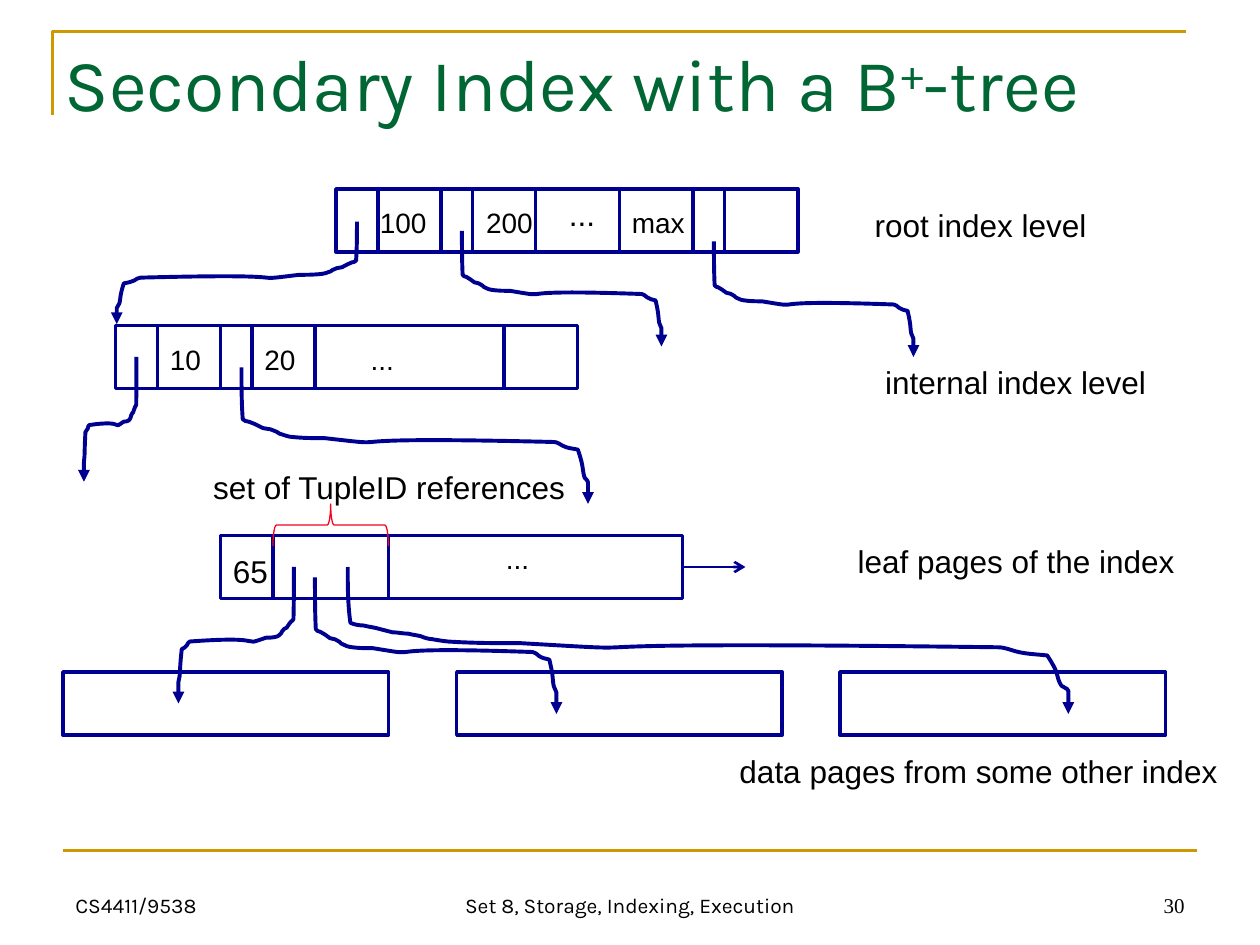
from dataclasses import dataclass

from lxml import etree
from pptx import Presentation
from pptx import util as u
from pptx.dml.color import RGBColor
from pptx.enum import shapes, text
from pptx.oxml.ns import qn

PX = 9525  # EMU per px, 96 px to the inch
GOLD = RGBColor(0xCC, 0x99, 0x00)
GREEN = RGBColor(0x00, 0x66, 0x33)
NAVY = RGBColor(0x00, 0x00, 0x90)
RED = RGBColor(0xF4, 0x04, 0x21)
BLACK = RGBColor(0, 0, 0)
LEFT, CENTER, RIGHT = text.PP_ALIGN.LEFT, text.PP_ALIGN.CENTER, text.PP_ALIGN.RIGHT
NODE_HEIGHT = 48

# Pointer curve: a start at (0, 0), then control points in groups of three
SQUIGGLE = [
    (0, 14), (0, 27), (1, 41), (2, 42), (4, 43), (6, 43),
    (8, 44), (9, 44), (11, 45), (13, 46), (15, 47), (17, 48),
    (19, 48), (21, 49), (23, 49), (25, 50), (26, 50), (28, 51),
    (29, 52), (31, 53), (32, 53), (35, 54), (38, 55), (40, 55),
    (49, 56), (58, 56), (66, 56), (137, 64), (44, 54), (247, 59),
    (250, 59), (252, 61), (254, 62), (258, 64), (261, 64), (266, 65),
    (267, 68), (268, 71), (269, 75), (270, 79), (270, 83), (271, 86),
    (271, 88), (274, 89), (274, 91), (274, 96), (274, 102), (274, 108),
]


@dataclass
class Node:
    left: int
    top: int
    width: int
    dividers: tuple[int, ...] = ()


@dataclass
class Pointer:
    x1: int
    y1: int
    x2: int
    y2: int


@dataclass
class Label:
    words: str
    left: int
    top: int
    width: int
    size: int = 18
    height: int = 38
    font: str = "Arial"
    color: RGBColor = BLACK
    align: text.PP_ALIGN = LEFT
    anchor: text.MSO_ANCHOR = text.MSO_ANCHOR.TOP
    wrap: bool = False


NODES = [
    Node(256, 144, 352, (288, 336, 360, 408, 472, 528, 552)),  # root
    Node(88, 248, 352, (120, 168, 192, 240, 384)),  # internal
    Node(168, 408, 352, (208, 296)),  # leaf
    Node(48, 512, 248), Node(348, 512, 248), Node(640, 512, 248),  # data pages
]

POINTERS = [
    Pointer(272, 169, 89, 247), Pointer(352, 176, 504, 264), Pointer(544, 184, 696, 272),
    Pointer(104, 272, 64, 367), Pointer(184, 280, 448, 384),
    Pointer(224, 432, 136, 536), Pointer(240, 440, 424, 544), Pointer(265, 432, 814, 544),
]

LABELS = [
    Label("100", 280, 152, 55, 16), Label("200", 361, 152, 55, 16),
    Label("...", 424, 144, 39), Label("max", 472, 152, 60, 16),
    Label("10", 120, 256, 43, 16), Label("20", 192, 256, 43, 16),
    Label("...", 273, 256, 37, 16),
    Label("65", 168, 416, 46), Label("...", 376, 408, 40, 16),
    Label("root index level", 657, 152, 181),
    Label("internal index level", 665, 272, 218),
    Label("set of TupleID references", 153, 352, 288),
    Label("leaf pages of the index", 644, 408, 261),
    Label("data pages from some other index", 554, 568, 384),
]


def footer(words: str, left: int, width: int, align: text.PP_ALIGN,
           font: str = "Karla") -> Label:
    return Label(words, left, 656, width, 12, 48, font, align=align,
                 anchor=text.MSO_ANCHOR.BOTTOM, wrap=True)


FOOTERS = [
    footer("CS4411/9538", 48, 224, LEFT),
    footer("Set 8, Storage, Indexing, Execution", 328, 304, CENTER),
    footer("30", 688, 224, RIGHT, "Times New Roman"),
]


def set_line(shape, color: RGBColor, points: float, tail: str = "") -> None:
    shape.line.color.rgb = color
    shape.line.width = u.Pt(points)
    if tail:
        etree.SubElement(shape.line._get_or_add_ln(), qn("a:tailEnd"), type=tail)


def set_outline(shape, color: RGBColor, points: float, tail: str = "") -> None:
    shape.shadow.inherit = False
    shape.fill.background()
    set_line(shape, color, points, tail)


def draw_line(slide, start: tuple[int, int], end: tuple[int, int],
              color: RGBColor, points: float, tail: str = "") -> None:
    line = slide.shapes.add_connector(
        shapes.MSO_CONNECTOR.STRAIGHT, *(v * PX for v in (*start, *end)))
    set_line(line, color, points, tail)
    etree.SubElement(line._element.spPr, qn("a:effectLst"))


def draw_node(slide, node: Node) -> None:
    box = slide.shapes.add_shape(
        shapes.MSO_SHAPE.RECTANGLE,
        *(v * PX for v in (node.left, node.top, node.width, NODE_HEIGHT)))
    set_outline(box, NAVY, 2)
    for x in node.dividers:
        draw_line(slide, (x, node.top), (x, node.top + NODE_HEIGHT), NAVY, 2.25)


def draw_pointer(slide, pointer: Pointer) -> None:
    end_x, end_y = SQUIGGLE[-1]
    scale_x = (pointer.x2 - pointer.x1) * PX / end_x
    scale_y = (pointer.y2 - pointer.y1) * PX / end_y
    x, y = pointer.x1 * PX, pointer.y1 * PX
    builder = slide.shapes.build_freeform(x, y)
    builder.add_line_segments(
        [(x + dx * scale_x, y + dy * scale_y) for dx, dy in SQUIGGLE], close=False)
    curve = builder.convert_to_shape()
    # Each three straight segments become one cubic curve
    outline = curve._element.find(".//" + qn("a:path"))
    segments = outline.findall(qn("a:lnTo"))
    for i in range(0, len(segments), 3):
        cubic = etree.SubElement(outline, qn("a:cubicBezTo"))
        for segment in segments[i:i + 3]:
            cubic.append(segment[0])
            outline.remove(segment)
    set_outline(curve, NAVY, 2.25, "triangle")


def draw_label(slide, label: Label):
    box = slide.shapes.add_textbox(
        *(v * PX for v in (label.left, label.top, label.width, label.height)))
    frame = box.text_frame
    frame.word_wrap = label.wrap
    if not label.wrap:
        frame.auto_size = text.MSO_AUTO_SIZE.SHAPE_TO_FIT_TEXT
    frame.vertical_anchor = label.anchor
    paragraph = frame.paragraphs[0]
    paragraph.text = label.words
    paragraph.alignment = label.align
    paragraph.font.name = label.font
    paragraph.font.size = u.Pt(label.size)
    paragraph.font.color.rgb = label.color
    return paragraph


def main() -> None:
    deck = Presentation()
    deck.slide_width, deck.slide_height = 960 * PX, 720 * PX
    slide = deck.slides.add_slide(deck.slide_layouts[6])

    # Page frame
    corner = slide.shapes.build_freeform(40, 88, scale=PX)
    corner.add_line_segments([(40, 24), (904, 24)], close=False)
    set_outline(corner.convert_to_shape(), GOLD, 1.5)
    draw_line(slide, (48, 648), (912, 648), GOLD, 1.5)

    # Title with a raised plus sign
    title = draw_label(slide, Label("Secondary Index with a B", 40, 24, 864, 42, 120,
                                    "Karla", GREEN, wrap=True))
    plus = title.add_run()
    plus.text = "+"
    plus._r.get_or_add_rPr().set("baseline", "30000")
    title.add_run().text = "-tree"

    # Tree
    for node in NODES:
        draw_node(slide, node)
    for pointer in POINTERS:
        draw_pointer(slide, pointer)
    draw_line(slide, (520, 432), (568, 432), NAVY, 1.5, "arrow")

    # Brace over the tuple references
    brace = slide.shapes.add_shape(
        shapes.MSO_SHAPE.RIGHT_BRACE, *(v * PX for v in (236, 356, 32, 88)))
    brace.rotation = 270
    set_outline(brace, RED, 0.75)

    # Labels and footer
    for label in LABELS + FOOTERS:
        draw_label(slide, label)

    deck.save("out.pptx")


if __name__ == "__main__":
    main()
